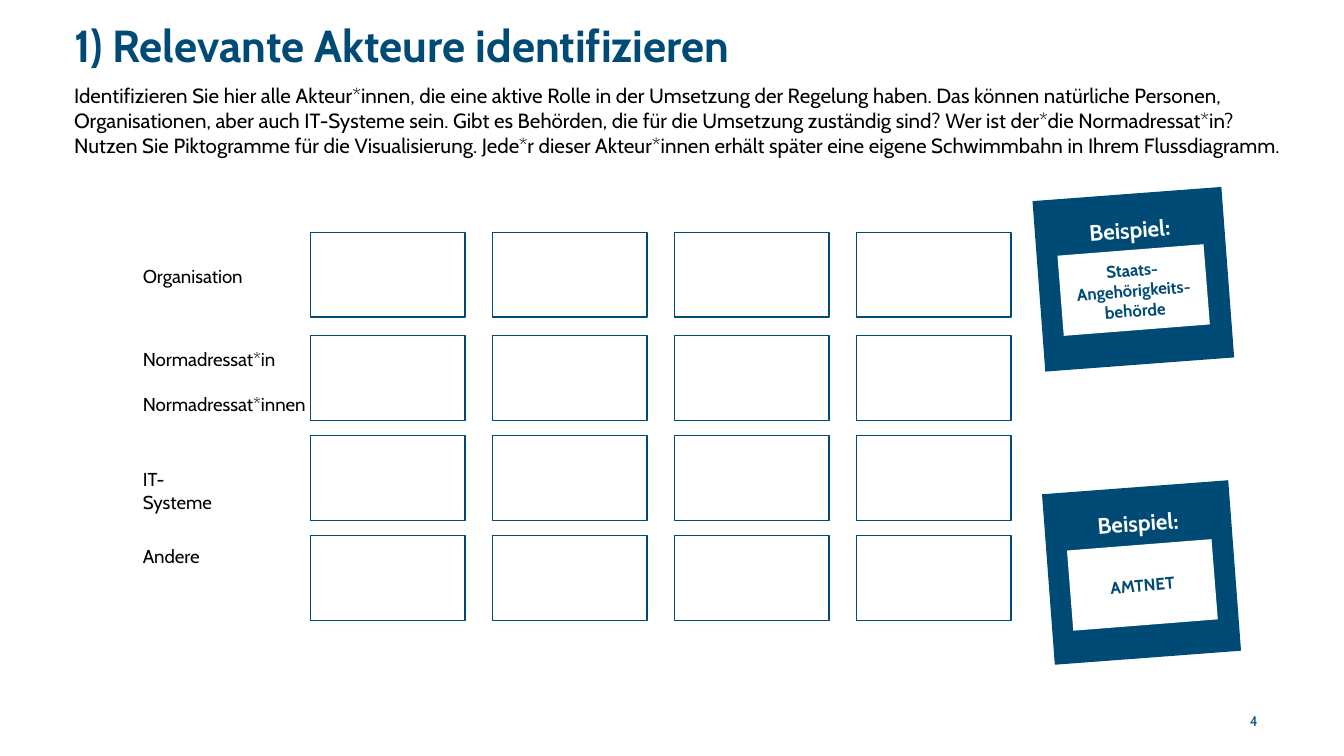
from dataclasses import dataclass

import pptx
import pptx.util
import pptx.dml.color
import pptx.enum.shapes
import pptx.enum.text
import pptx.oxml
import pptx.oxml.ns
from pptx.util import Cm, Pt

RGBColor = pptx.dml.color.RGBColor
Align = pptx.enum.text.PP_ALIGN
Anchor = pptx.enum.text.MSO_ANCHOR
RECT = pptx.enum.shapes.MSO_SHAPE.RECTANGLE

BLUE = RGBColor(0x00, 0x4B, 0x76)
WHITE = RGBColor(0xFF, 0xFF, 0xFF)
BLACK = RGBColor(0x00, 0x00, 0x00)
FONT = "Cabin"
PAD = (0.18, 0.1)


@dataclass(frozen=True)
class Box:
    left: float
    top: float
    width: float
    height: float


@dataclass(frozen=True)
class Style:
    size: float
    color: RGBColor
    bold: bool = False
    align: Align = Align.LEFT
    anchor: Anchor = Anchor.TOP
    gap: float = 0


@dataclass(frozen=True)
class Row:
    top: float
    text: str
    box: Box


@dataclass(frozen=True)
class Card:
    outer: Box
    inner: Box
    text: str


TITLE = Style(24, BLUE, bold=True)
INTRO = Style(11, BLACK)
LABEL = Style(10, BLACK, gap=12)
HEAD = Style(12, WHITE, bold=True, align=Align.CENTER)
NOTE = Style(9, BLUE, bold=True, align=Align.CENTER, anchor=Anchor.MIDDLE)
PAGE = Style(7.5, BLUE, anchor=Anchor.MIDDLE)

ROWS = [
    Row(4.39, "Organisation", Box(2.52, 4.9, 2.82, 0.61)),
    Row(6.34, "Normadressat*in\nNormadressat*innen", Box(2.52, 6.48, 3.63, 1.47)),
    Row(8.23, "IT-Systeme", Box(2.52, 8.74, 2.03, 1.04)),
    Row(10.12, "Andere", Box(2.52, 10.19, 2.03, 0.61)),
]
CARDS = [
    Card(Box(19.63, 3.66, 3.58, 3.23), Box(20.04, 4.72, 2.77, 1.52),
         "Staats-\nAngehörigkeits-behörde"),
    Card(Box(19.81, 9.2, 3.53, 3.23), Box(20.22, 10.29, 2.74, 1.52), "AMTNET"),
]


def place(shape, box: Box) -> None:
    shape.left, shape.top = Cm(box.left), Cm(box.top)
    shape.width, shape.height = Cm(box.width), Cm(box.height)


def write(shape, text: str, style: Style, pad=PAD) -> None:
    frame = shape.text_frame
    frame.text = text
    frame.word_wrap = True
    frame.auto_size = pptx.enum.text.MSO_AUTO_SIZE.NONE
    frame.vertical_anchor = style.anchor
    frame.margin_left = frame.margin_right = Cm(pad[0])
    frame.margin_top = frame.margin_bottom = Cm(pad[1])
    for rank, para in enumerate(frame.paragraphs):
        para.alignment = style.align
        para.space_before = Pt(style.gap if rank else 0)
        for run in para.runs:
            run.font.name = FONT
            run.font.size = Pt(style.size)
            run.font.bold = style.bold
            run.font.color.rgb = style.color


def strip(shape) -> None:
    for para in shape.text_frame.paragraphs:
        props = para._p.get_or_add_pPr()
        props.set("marL", "0")
        props.set("indent", "0")
        props.append(pptx.oxml.parse_xml(
            "<a:buNone %s/>" % pptx.oxml.ns.nsdecls("a")))


def label(slide, box: Box, text: str, style: Style) -> None:
    shape = slide.shapes.add_textbox(0, 0, 0, 0)
    place(shape, box)
    write(shape, text, style)


def block(slide, box: Box, fill: RGBColor, line=None, turn: float = 0):
    shape = slide.shapes.add_shape(RECT, 0, 0, 0, 0)
    place(shape, box)
    shape.rotation = turn
    shape.shadow.inherit = False
    shape.fill.solid()
    shape.fill.fore_color.rgb = fill
    if line is None:
        shape.line.fill.background()
    else:
        shape.line.color.rgb = line
        shape.line.width = Pt(0.75)
    return shape


def draw_card(slide, card: Card) -> None:
    outer = block(slide, card.outer, BLUE, turn=355.7)
    write(outer, "Beispiel:", HEAD, (0.18, 0.42))
    inner = block(slide, card.inner, WHITE, turn=355.5)
    write(inner, card.text, NOTE)


def draw_row(slide, row: Row) -> None:
    for col in range(4):
        block(slide, Box(5.87 + col * 3.44, row.top, 2.92, 1.6), WHITE, BLUE)
    label(slide, row.box, row.text, LABEL)


def main() -> None:
    deck = pptx.Presentation()
    deck.slide_width, deck.slide_height = Cm(25.4), Cm(14.28)
    slide = deck.slides.add_slide(deck.slide_layouts[1])

    title, body = slide.shapes.title, slide.placeholders[1]
    place(title, Box(1.4, 0.33, 22.6, 2.2))
    write(title, "1) Relevante Akteure identifizieren", TITLE, (0, 0))
    place(body, Box(1.22, 1.47, 23.4, 2.39))
    write(body, "Identifizieren Sie hier alle Akteur*innen, die eine aktive Rolle "
          "in der Umsetzung der Regelung haben. Das können natürliche Personen, "
          "Organisationen, aber auch IT-Systeme sein. Gibt es Behörden, die für "
          "die Umsetzung zuständig sind? Wer ist der*die Normadressat*in?\n"
          "Nutzen Sie Piktogramme für die Visualisierung. Jede*r dieser "
          "Akteur*innen erhält später eine eigene Schwimmbahn in Ihrem "
          "Flussdiagramm.", INTRO)
    strip(body)

    for card in CARDS:
        draw_card(slide, card)
    for row in ROWS:
        draw_row(slide, row)
    label(slide, Box(23.44, 13.46, 1.19, 0.33), "4", PAGE)
    deck.save("out.pptx")


if __name__ == "__main__":
    main()
